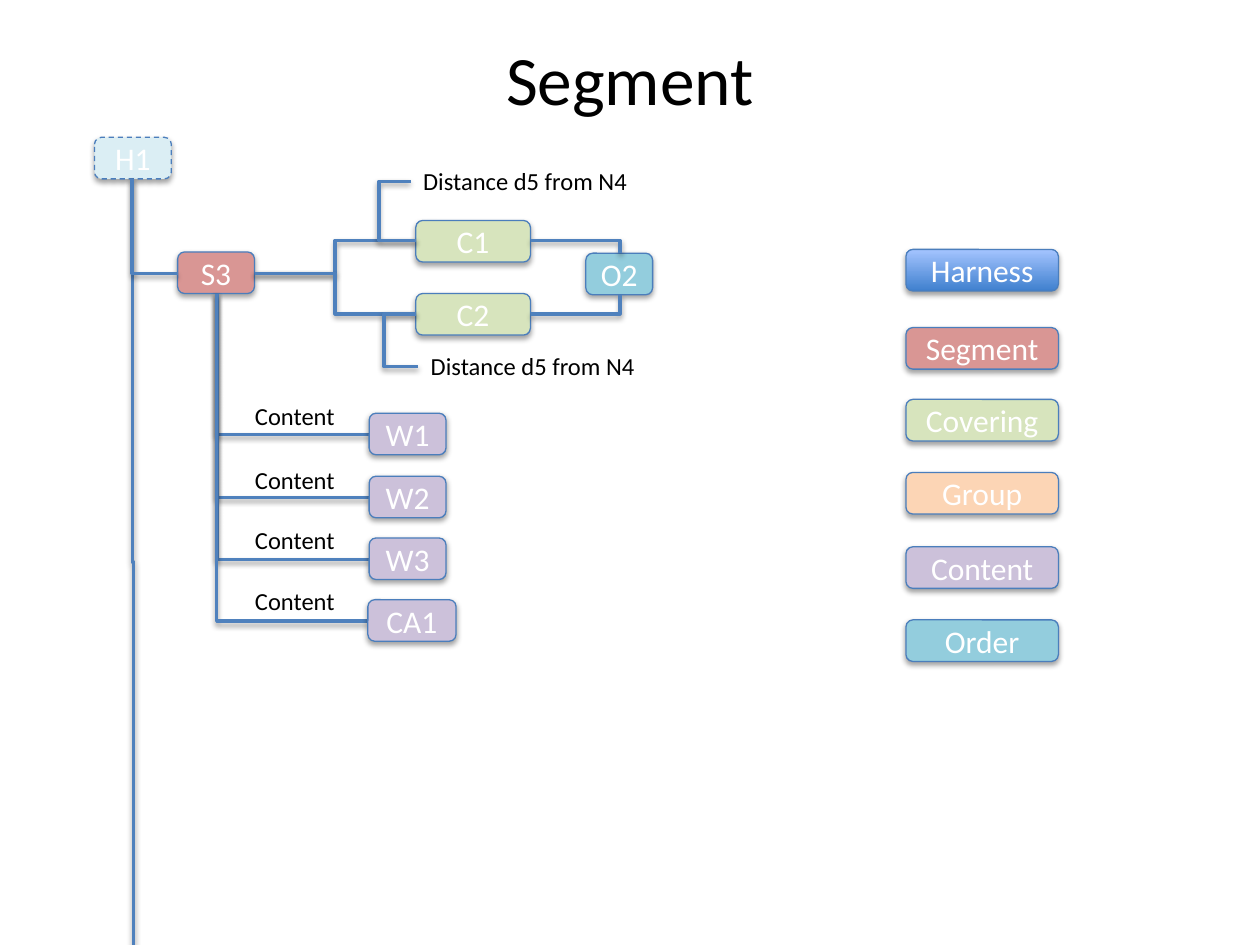
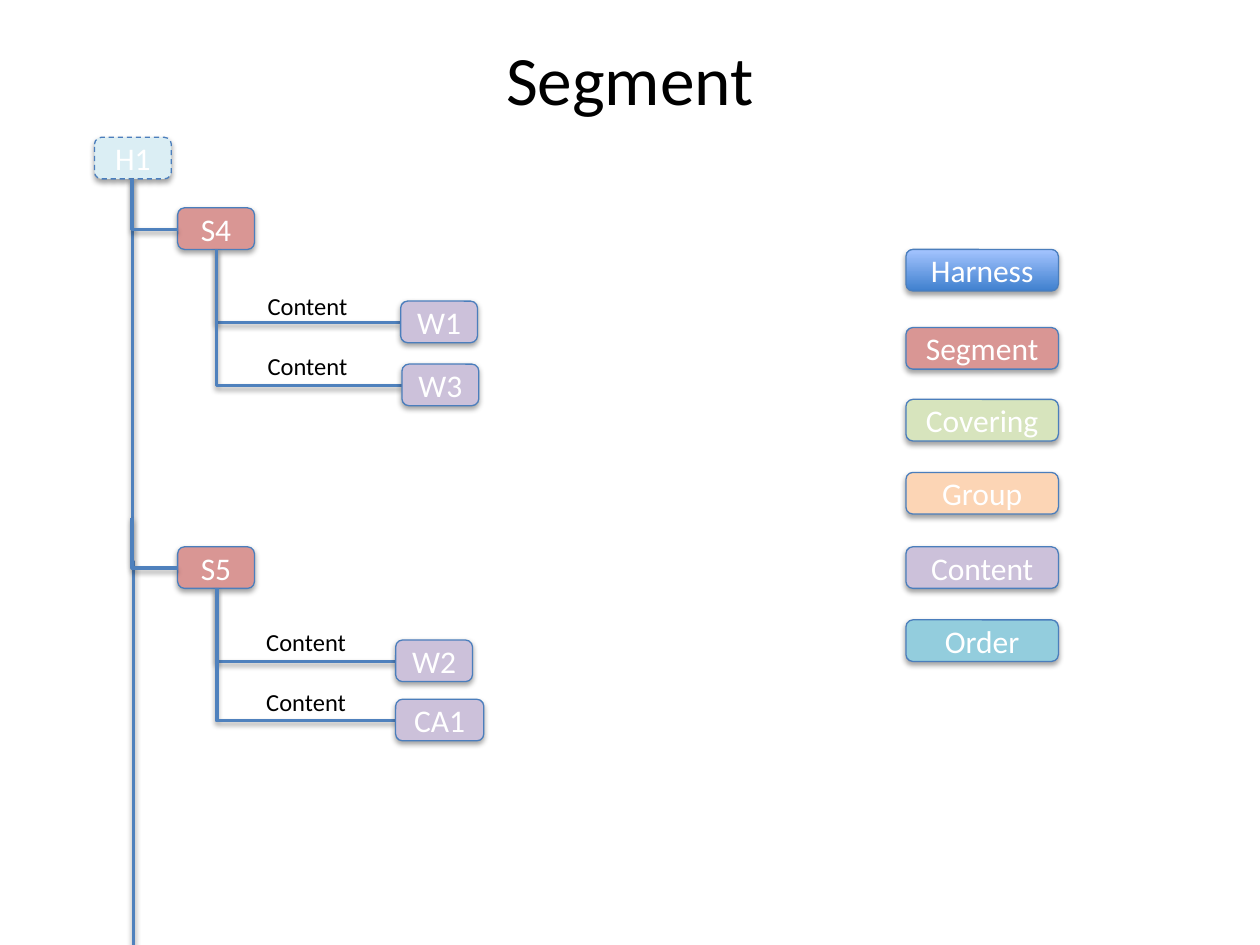
from copy import deepcopy
from dataclasses import dataclass

from lxml.etree import SubElement
from pptx import Presentation
from pptx.dml.color import RGBColor
from pptx.enum.dml import MSO_LINE
from pptx.enum.shapes import MSO_CONNECTOR, MSO_SHAPE
from pptx.enum.text import MSO_ANCHOR, MSO_AUTO_SIZE, PP_ALIGN
from pptx.oxml import parse_xml
from pptx.oxml.ns import nsdecls, qn
from pptx.util import Pt


@dataclass(frozen=True)
class Theme:
    font: str = "Calibri"
    title_size: float = 39.6
    box_size: int = 18
    label_size: int = 14
    text: str = "000000"
    box_text: str = "FFFFFF"
    outline: str = "4B7EBC"
    connector: str = "4F81BD"
    harness_dark: str = "3F80CE"
    harness_light: str = "A4C4FF"
    parent: str = "DBEEF4"
    segment: str = "D99694"
    covering: str = "D7E4BD"
    group: str = "FCD5B5"
    content: str = "CCC1DA"
    order: str = "93CDDD"


THEME = Theme()
PX = 9144
BOX_HEIGHT = 33
HALF_BOX = 17
NODE_WIDTH = 61
SEGMENT_LEFT = 141
SEGMENT_MIDDLE = 172
TRUNK_X = 105
TRUNK_TOP = 142
SHADOW = parse_xml(
    f'<a:effectLst {nsdecls("a")}>'
    '<a:outerShdw blurRad="40000" dist="22000" dir="5400000" rotWithShape="0">'
    '<a:srgbClr val="000000"><a:alpha val="36000"/></a:srgbClr>'
    "</a:outerShdw></a:effectLst>"
)


def add_box(page, name, left, top, width, color):
    box = page.shapes.add_shape(
        MSO_SHAPE.ROUNDED_RECTANGLE, left * PX, top * PX, width * PX, BOX_HEIGHT * PX
    )
    box.fill.solid()
    box.fill.fore_color.rgb = RGBColor.from_string(color)
    box.line.color.rgb = RGBColor.from_string(THEME.outline)
    box.line.width = Pt(0.75)
    box.shadow.inherit = False
    spPr = box._element.spPr
    spPr.replace(spPr.find(qn("a:effectLst")), deepcopy(SHADOW))
    frame = box.text_frame
    frame.word_wrap = True
    frame.vertical_anchor = MSO_ANCHOR.MIDDLE
    para = frame.paragraphs[0]
    para.text = name
    para.alignment = PP_ALIGN.CENTER
    para.font.name = THEME.font
    para.font.size = Pt(THEME.box_size)
    para.font.color.rgb = RGBColor.from_string(THEME.box_text)
    return box


def add_elbow(page, start, end, rotation=0, flip=None, parts=3, turn_x=None):
    (x1, y1), (x2, y2) = start, end
    connector = page.shapes.add_connector(
        MSO_CONNECTOR.ELBOW, x1 * PX, y1 * PX, x2 * PX, y2 * PX
    )
    spPr = connector._element.spPr
    geometry = spPr.find(qn("a:prstGeom"))
    geometry.set("prst", f"bentConnector{parts}")
    if rotation:
        width, height = abs(y2 - y1), abs(x2 - x1)
        connector.left = (x1 + x2 - width) * PX // 2
        connector.top = (y1 + y2 - height) * PX // 2
        connector.width, connector.height = width * PX, height * PX
        xfrm = spPr.find(qn("a:xfrm"))
        for name in ("flipH", "flipV"):
            xfrm.attrib.pop(name, None)
        xfrm.set("rot", str(rotation * 60000))
        if flip:
            xfrm.set(flip, "1")
    if turn_x is not None:
        share = round((turn_x - x1) / (x2 - x1) * 100000)
        guides = geometry.find(qn("a:avLst"))
        SubElement(guides, qn("a:gd"), name="adj1", fmla=f"val {share}")
    connector.line.color.rgb = RGBColor.from_string(THEME.connector)
    connector.line.width = Pt(2)
    spPr.append(deepcopy(SHADOW))


legend = [
    ("Harness", 198, THEME.harness_dark),
    ("Segment", 260, THEME.segment),
    ("Covering", 317, THEME.covering),
    ("Group", 375, THEME.group),
    ("Content", 434, THEME.content),
    ("Order", 492, THEME.order),
]

segments_by_page = [
    [
        ("S3", 200, TRUNK_TOP, 192, [
            ("W1", 293, 328, NODE_WIDTH, 313),
            ("W2", 293, 378, NODE_WIDTH, 364),
            ("W3", 293, 427, NODE_WIDTH, 412),
            ("CA1", 292, 476, 70, 460),
        ]),
    ],
    [
        ("S4", 165, TRUNK_TOP, 202, [
            ("W1", 318, 239, NODE_WIDTH, 226),
            ("W3", 319, 289, NODE_WIDTH, 274),
        ]),
        ("S5", 434, 411, 201, [
            ("W2", 314, 508, NODE_WIDTH, 493),
            ("CA1", 314, 555, 70, 540),
        ]),
    ],
]

coverings = [
    ("C1", 175, 326, 127, 301),
    ("C2", 233, 332, 274, 305),
]

deck = Presentation()
deck.slide_width, deck.slide_height = 1000 * PX, 750 * PX

for segments in segments_by_page:
    page = deck.slides.add_slide(deck.slide_layouts[5])
    labels = []

    title = page.shapes.title
    title.left, title.top, title.width, title.height = 50 * PX, 30 * PX, 900 * PX, 63 * PX
    title.text_frame.auto_size = MSO_AUTO_SIZE.NONE
    title.text_frame.vertical_anchor = MSO_ANCHOR.MIDDLE
    para = title.text_frame.paragraphs[0]
    para.text = "Segment"
    para.alignment = PP_ALIGN.CENTER
    para.font.name = THEME.font
    para.font.size = Pt(THEME.title_size)
    para.font.color.rgb = RGBColor.from_string(THEME.text)

    for name, top, color in legend:
        box = add_box(page, name, 719, top, 121, color)
        if name == "Harness":
            box.fill.gradient()
            box.fill.gradient_angle = 90
            for stop, shade in zip(
                box.fill.gradient_stops, (THEME.harness_dark, THEME.harness_light)
            ):
                stop.color.rgb = RGBColor.from_string(shade)

    parent = add_box(page, "H1", 75, 109, NODE_WIDTH, THEME.parent)
    parent.line.dash_style = MSO_LINE.DASH
    add_elbow(page, (TRUNK_X, TRUNK_TOP), (TRUNK_X + 1, 750), 270, "flipH")

    for name, top, branch_top, label_left, contents in segments:
        add_box(page, name, SEGMENT_LEFT, top, NODE_WIDTH, THEME.segment)
        add_elbow(
            page, (TRUNK_X, branch_top), (SEGMENT_LEFT, top + HALF_BOX), 270, "flipH", 2
        )
        for content, left, content_top, width, label_top in contents:
            add_elbow(
                page,
                (SEGMENT_MIDDLE, top + BOX_HEIGHT),
                (left, content_top + HALF_BOX),
                270, "flipH", 2,
            )
            add_box(page, content, left, content_top, width, THEME.content)
            labels.append(("Content", label_left, label_top, 84, PP_ALIGN.CENTER))

        if name == "S3":
            for covering, covering_top, label_left, label_top, turn_x in coverings:
                middle = covering_top + HALF_BOX - 1
                add_box(page, covering, 330, covering_top, 91, THEME.covering)
                add_elbow(page, (SEGMENT_LEFT + NODE_WIDTH, top + HALF_BOX), (330, middle))
                add_elbow(
                    page, (330, middle), (label_left, label_top + HALF_BOX), turn_x=turn_x
                )
                labels.append(
                    ("Distance d5 from N4", label_left, label_top, 182, PP_ALIGN.LEFT)
                )
            add_box(page, "O2", 465, 201, 53, THEME.order)
            add_elbow(page, (492, 201), (421, 191), 270, "flipV", 2)
            add_elbow(page, (492, 234), (421, 249), 90, None, 2)

    for wording, left, top, width, alignment in labels:
        label = page.shapes.add_textbox(left * PX, top * PX, width * PX, 34 * PX)
        label.text_frame.word_wrap = False
        label.text_frame.auto_size = MSO_AUTO_SIZE.SHAPE_TO_FIT_TEXT
        para = label.text_frame.paragraphs[0]
        para.text = wording
        para.alignment = alignment
        para.font.name = THEME.font
        para.font.size = Pt(THEME.label_size)
        para.font.color.rgb = RGBColor.from_string(THEME.text)

deck.save("out.pptx")
